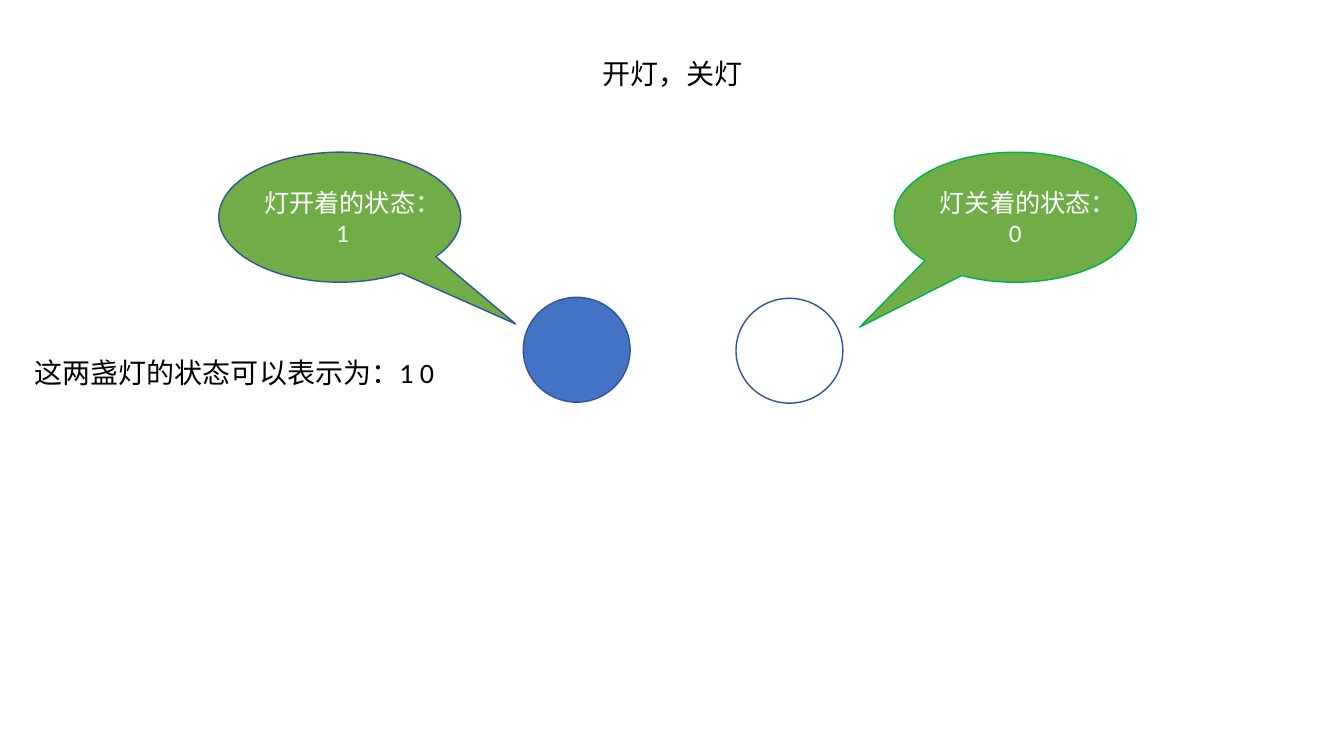
from pptx import Presentation
from pptx.dml.color import RGBColor
from pptx.enum.shapes import MSO_SHAPE as Shape
from pptx.enum.text import MSO_ANCHOR as Anchor, PP_ALIGN as Align
from pptx.util import Inches, Pt


def paint(shape, fill, line):
    shape.shadow.inherit = False
    if fill:
        shape.fill.solid()
        shape.fill.fore_color.rgb = RGBColor.from_string(fill)
    else:
        shape.fill.background()
    shape.line.color.rgb = RGBColor.from_string(line)
    shape.line.width = Pt(1)


def write(shape, text, size, font, color, anchor):
    frame = shape.text_frame
    frame.word_wrap = True
    frame.vertical_anchor = anchor
    paragraph = frame.paragraphs[0]
    paragraph.alignment = Align.CENTER
    run = paragraph.add_run()
    run.text = text
    run.font.size = Pt(size)
    run.font.name = font
    run.font.color.rgb = RGBColor.from_string(color)
    return paragraph


presentation = Presentation()
presentation.slide_width = Inches(13.33)
presentation.slide_height = Inches(7.5)
slide = presentation.slides.add_slide(presentation.slide_layouts[6])
shapes = slide.shapes

# Title
title = shapes.add_textbox(Inches(2.17), Inches(0.5), Inches(9), Inches(0.45))
paragraph = write(title, "开灯，关灯", 20, "Arial", "000000", Anchor.BOTTOM)
paragraph.line_spacing = 0.9

# Lamps: one on, one off
for left, top, fill in [(5.19, 2.95, "4472C4"), (7.3, 2.96, None)]:
    lamp = shapes.add_shape(Shape.OVAL, Inches(left), Inches(top), Inches(1.06), Inches(1.04))
    paint(lamp, fill, "325491")

# Callouts naming the state of each lamp
callouts = [
    (2.17, 0.727, 0.821, "325491", "灯开着的状态： 1"),
    (8.87, -0.643, 0.845, "00B050", "灯关着的状态：0"),
]
for left, tip_x, tip_y, line, text in callouts:
    callout = shapes.add_shape(Shape.OVAL_CALLOUT, Inches(left), Inches(1.51), Inches(2.4), Inches(1.29))
    callout.adjustments[0] = tip_x
    callout.adjustments[1] = tip_y
    paint(callout, "70AD47", line)
    write(callout, text, 18, "Calibri", "FFFFFF", Anchor.MIDDLE)

# Combined state
summary = shapes.add_textbox(Inches(-0.2), Inches(3.48), Inches(5.05), Inches(0.44))
write(summary, "这两盏灯的状态可以表示为：1 0", 20, "Calibri", "000000", Anchor.TOP)

presentation.save("out.pptx")
